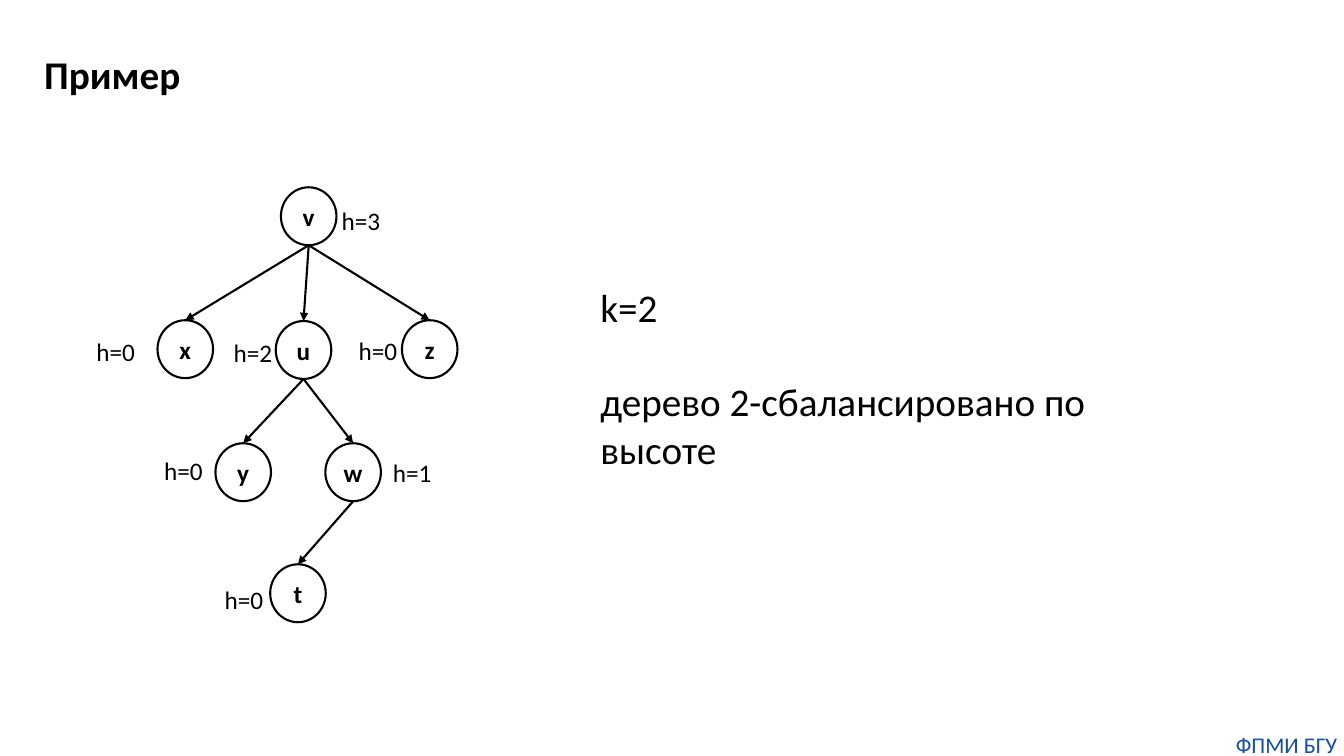
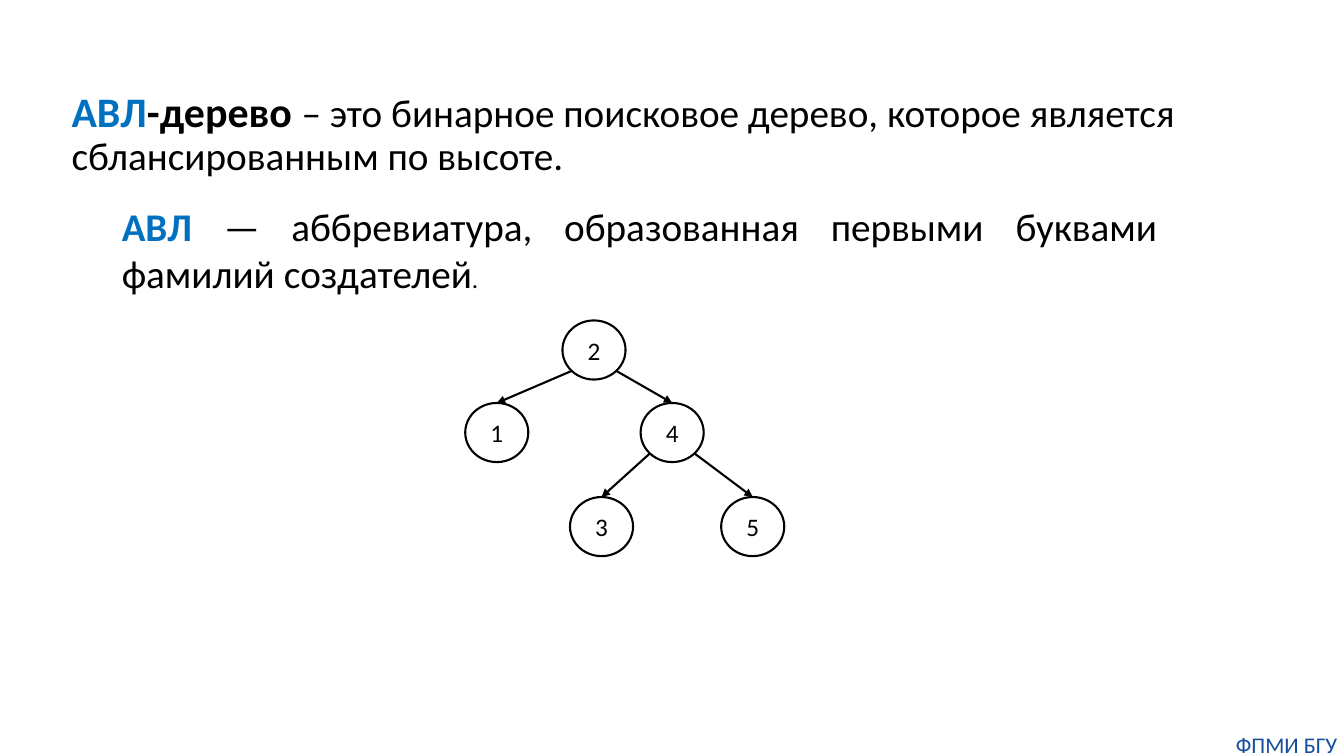
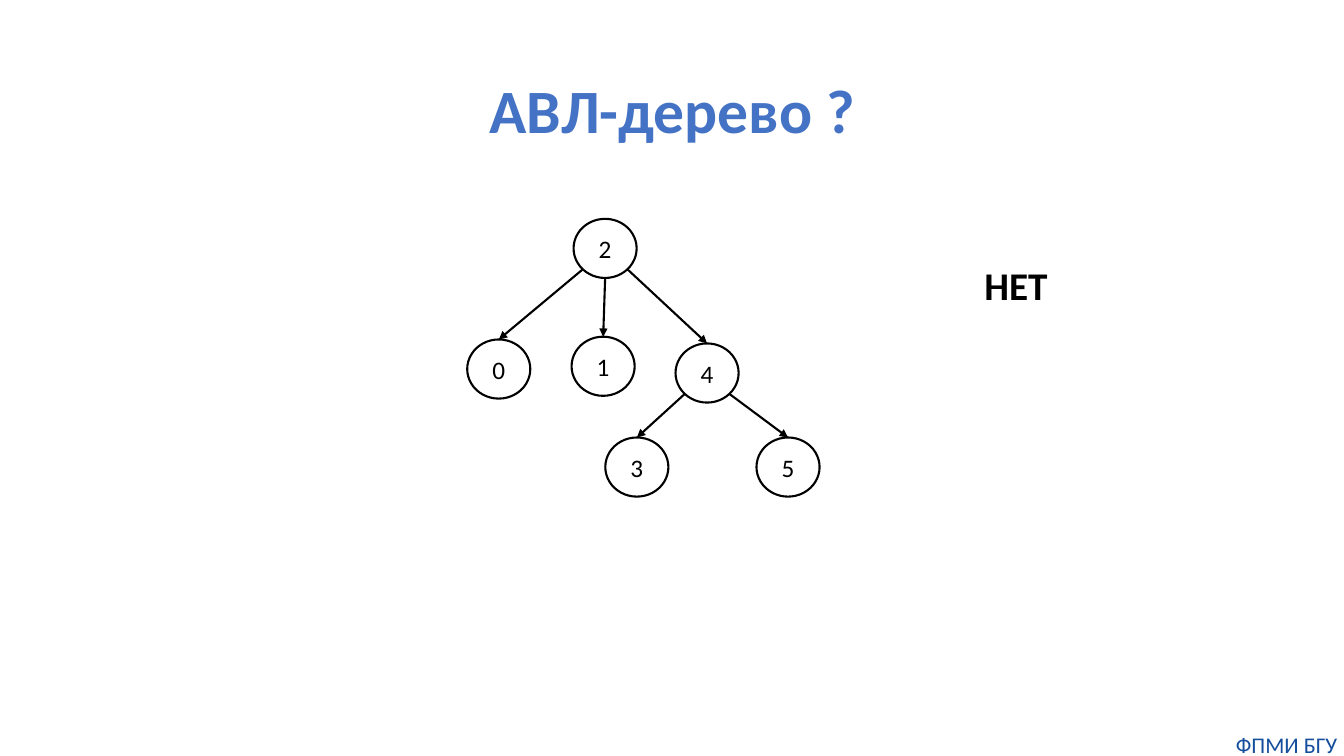
"""Three slides on height-balanced trees, each with a tree of linked nodes."""
from dataclasses import dataclass
from math import sqrt

from lxml.etree import SubElement
from pptx import Presentation
from pptx.dml.color import RGBColor
from pptx.enum.shapes import MSO_CONNECTOR, MSO_SHAPE
from pptx.enum.text import MSO_ANCHOR, MSO_AUTO_SIZE, PP_ALIGN
from pptx.oxml.ns import qn
from pptx.util import Cm, Pt


@dataclass(frozen=True)
class Theme:
    font: str = "Calibri"
    ink: str = "000000"
    accent: str = "0070C0"
    heading: str = "4472C4"
    brand: str = "144E9D"
    small: int = 16
    node: int = 18
    text: int = 28
    term: int = 30
    big: int = 44
    line: float = 1.5


theme = Theme()


def write(p, text, size=theme.text, color=theme.ink, bold=False, align=PP_ALIGN.LEFT):
    p.alignment = align
    r = p.add_run()
    r.text = text
    r.font.name = theme.font
    r.font.size = Pt(size)
    r.font.bold = bold
    r.font.color.rgb = RGBColor.from_string(color)


def add_box(s, x, y, w, h, wrap=True):
    tf = s.shapes.add_textbox(Cm(x), Cm(y), Cm(w), Cm(h)).text_frame
    tf.word_wrap = wrap
    return tf


prs = Presentation()
prs.slide_width, prs.slide_height = Cm(33.87), Cm(19.05)
title_content, title_only = prs.slide_layouts[1], prs.slide_layouts[5]
example, definition, question = [
    prs.slides.add_slide(layout) for layout in (title_only, title_content, title_only)
]

titles = [
    (example, "Пример", (0.86, 0.84, 4.04, 2.18), theme.text, theme.ink, PP_ALIGN.LEFT),
    (question, "АВЛ-дерево ?", (2.34, 1.02, 29.21, 3.68), theme.big, theme.heading, PP_ALIGN.CENTER),
]
for s, text, place, size, color, align in titles:
    title = s.shapes.title
    title.left, title.top, title.width, title.height = map(Cm, place)
    tf = title.text_frame
    tf.auto_size = MSO_AUTO_SIZE.NONE
    tf.word_wrap = False
    tf.vertical_anchor = MSO_ANCHOR.MIDDLE
    p = tf.paragraphs[0]
    p.line_spacing = 0.9
    write(p, text, size=size, color=color, bold=True, align=align)

heights = [
    ("h=3", 8.36, 5.05), ("h=0", 8.79, 8.33), ("h=0", 5.41, 14.61), ("h=0", 3.89, 11.35),
    ("h=1", 9.65, 11.4), ("h=2", 5.64, 8.38), ("h=0", 2.18, 8.36),
]
for text, x, y in heights:
    write(add_box(example, x, y, 1.5, 1.02, wrap=False).paragraphs[0], text, size=theme.node)

tf = add_box(example, 14.88, 7.01, 14.61, 5.05)
write(tf.paragraphs[0], "k=2")
p = tf.add_paragraph()
p.space_before = Pt(34)
write(p, "дерево 2-сбалансировано по высоте")

title = definition.shapes.title.element
title.getparent().remove(title)
body = definition.placeholders[1]
body.left, body.top, body.width, body.height = Cm(1.55), Cm(2.18), Cm(29.18), Cm(2.69)
body.text_frame.auto_size = MSO_AUTO_SIZE.NONE
p = body.text_frame.paragraphs[0]
pPr = p._p.get_or_add_pPr()
pPr.set("marL", "0")
pPr.set("indent", "0")
SubElement(pPr, qn("a:buNone"))
p.line_spacing = 0.9
p.space_before = Pt(0)
write(p, "АВЛ", size=theme.term, color=theme.accent, bold=True)
write(p, "-дерево ", size=theme.term, bold=True)
write(p, "– это бинарное поисковое дерево, которое является сблансированным по высоте.")

p = add_box(definition, 2.82, 4.98, 26.59, 2.64).paragraphs[0]
write(p, "АВЛ ", color=theme.accent, bold=True, align=PP_ALIGN.JUSTIFY)
write(p, "— аббревиатура, образованная первыми буквами фамилий создателей", align=PP_ALIGN.JUSTIFY)
write(p, ".", size=theme.node, align=PP_ALIGN.JUSTIFY)

write(add_box(question, 24.56, 6.45, 2.11, 1.45, wrap=False).paragraphs[0], "НЕТ", bold=True)

trees = [
    (example, 1.4, 1.46, True,
     {"v": (7.78, 5.45), "x": (4.67, 8.8), "u": (7.65, 8.82), "z": (10.83, 8.8),
      "y": (6.13, 11.9), "w": (8.9, 11.9), "t": (7.51, 14.95)},
     [("v", "x", 0), ("v", "u", 0), ("v", "z", 0), ("u", "y", 0), ("u", "w", 0), ("w", "t", 0)]),
    (definition, 1.59, 1.49, False,
     {"2": (14.97, 8.82), "1": (12.52, 10.9), "4": (16.94, 10.9),
      "3": (15.16, 13.27), "5": (18.97, 13.27)},
     [("2", "1", -1), ("2", "4", 1), ("4", "3", -1), ("4", "5", 1)]),
    (question, 1.59, 1.49, False,
     {"2": (15.25, 6.26), "0": (12.57, 9.3), "1": (15.2, 9.23), "4": (17.82, 9.4),
      "3": (16.05, 11.77), "5": (19.86, 11.77)},
     [("2", "0", -1), ("2", "1", 0), ("2", "4", 1), ("4", "3", -1), ("4", "5", 1)]),
]
for s, w, h, bold, centres, edges in trees:
    nodes = {}
    for name, (x, y) in centres.items():
        sp = s.shapes.add_shape(MSO_SHAPE.OVAL, Cm(x - w / 2), Cm(y - h / 2), Cm(w), Cm(h))
        sp.shadow.inherit = False
        sp.fill.background()
        sp.line.color.rgb = RGBColor.from_string(theme.ink)
        sp.line.width = Pt(theme.line)
        tf = sp.text_frame
        tf.margin_left = tf.margin_right = tf.margin_top = tf.margin_bottom = 0
        tf.vertical_anchor = MSO_ANCHOR.MIDDLE
        write(tf.paragraphs[0], name, size=theme.node, bold=bold, align=PP_ALIGN.CENTER)
        nodes[name] = sp
    for parent, child, side in edges:
        x, y = centres[parent]
        start_x = x + side * w / 2 / sqrt(2)
        start_y = y + h / 2 / (sqrt(2) if side else 1)
        end_x, end_y = centres[child]
        cxn = s.shapes.add_connector(
            MSO_CONNECTOR.STRAIGHT, Cm(start_x), Cm(start_y), Cm(end_x), Cm(end_y - h / 2))
        cxn.end_connect(nodes[child], 0)
        cxn.line.color.rgb = RGBColor.from_string(theme.ink)
        cxn.line.width = Pt(theme.line)
        SubElement(cxn.line._get_or_add_ln(), qn("a:tailEnd"), type="triangle")
        SubElement(cxn._element.spPr, qn("a:effectLst"))

for s in prs.slides:
    tf = add_box(s, 30.99, 18.42, 2.87, 0.69)
    tf.margin_left = tf.margin_right = tf.margin_top = tf.margin_bottom = 0
    write(tf.paragraphs[0], "ФПМИ БГУ", size=theme.small, color=theme.brand, align=PP_ALIGN.CENTER)

prs.save("out.pptx")
